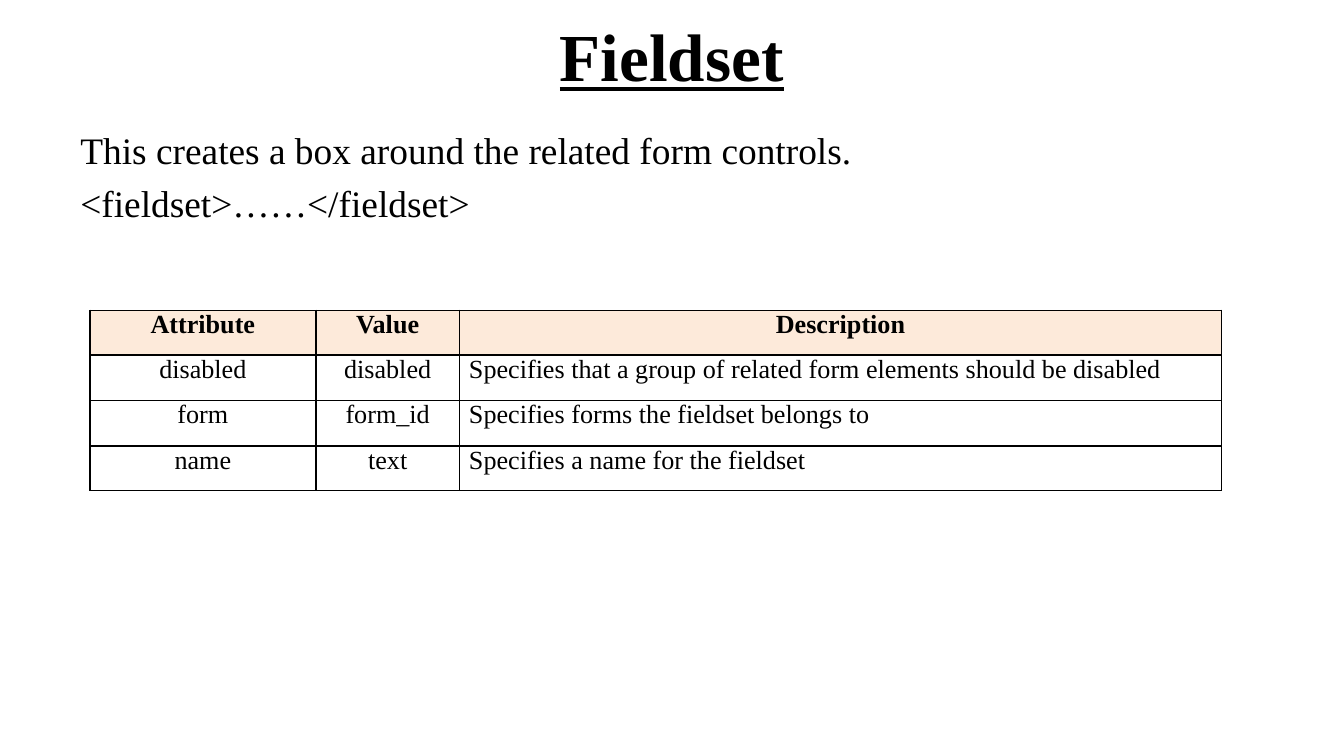
from lxml.etree import SubElement
from pptx import Presentation
from pptx.dml.color import RGBColor
from pptx.enum.text import MSO_ANCHOR, PP_ALIGN
from pptx.oxml.ns import qn
from pptx.util import Inches, Pt

BLACK = RGBColor(0x00, 0x00, 0x00)
PEACH = RGBColor(0xFD, 0xEA, 0xDA)

COLS = [1.68, 1.07, 5.67]
ROWS = [0.33, 0.34, 0.34, 0.33]
DATA = [
    ("Attribute", "Value", "Description"),
    ("disabled", "disabled",
     "Specifies that a group of related form elements should be disabled"),
    ("form", "form_id", "Specifies forms the fieldset belongs to"),
    ("name", "text", "Specifies a name for the fieldset"),
]


class Page:
    face = "Times New Roman"

    def __init__(self, slide):
        self.slide = slide

    def style(self, para, size, bold=False, line=False, align=PP_ALIGN.LEFT):
        para.alignment = align
        font = para.font
        font.name, font.size = self.face, Pt(size)
        font.bold, font.underline = bold, line
        font.color.rgb = BLACK

    def text(self, box, lines, size, gap=0, anchor=MSO_ANCHOR.TOP, **look):
        shape = self.slide.shapes.add_textbox(*map(Inches, box))
        frame = shape.text_frame
        frame.word_wrap = True
        frame.vertical_anchor = anchor
        frame.text = "\n".join(lines)
        for i, para in enumerate(frame.paragraphs):
            self.style(para, size, **look)
            if i:
                para.space_before = Pt(gap)

    def border(self, cell):
        props = cell._tc.get_or_add_tcPr()
        for side in ("a:lnL", "a:lnR", "a:lnT", "a:lnB"):
            edge = SubElement(props, qn(side), w=str(Pt(1)))
            fill = SubElement(edge, qn("a:solidFill"))
            SubElement(fill, qn("a:srgbClr"), val=str(BLACK))

    def table(self, left, top, cols, rows, data, size):
        box = map(Inches, (left, top, sum(cols), sum(rows)))
        table = self.slide.shapes.add_table(len(rows), len(cols), *box).table
        for col, width in zip(table.columns, cols):
            col.width = Inches(width)
        for row, height in zip(table.rows, rows):
            row.height = Inches(height)
        for r, line in enumerate(data):
            for c, word in enumerate(line):
                cell = table.cell(r, c)
                cell.text = word
                cell.margin_left = cell.margin_right = Inches(0.07)
                cell.margin_top = cell.margin_bottom = 0
                # Only descriptions below the header are left-aligned
                left_set = r > 0 and c == len(cols) - 1
                align = PP_ALIGN.LEFT if left_set else PP_ALIGN.CENTER
                self.style(cell.text_frame.paragraphs[0], size,
                           bold=r == 0, align=align)
                self.border(cell)
                if r == 0:
                    cell.fill.solid()
                    cell.fill.fore_color.rgb = PEACH
                else:
                    cell.fill.background()


def main():
    deck = Presentation()
    # Widescreen, 16 to 9
    deck.slide_width, deck.slide_height = Inches(10), Inches(10 * 9 / 16)
    page = Page(deck.slides.add_slide(deck.slide_layouts[6]))

    # Title
    page.text((0.5, -0.02, 9, 0.85), ["Fieldset"], 36, bold=True, line=True,
              anchor=MSO_ANCHOR.MIDDLE, align=PP_ALIGN.CENTER)

    # Purpose and syntax
    page.text((0.5, 0.9, 9, 1.08),
              ["This creates a box around the related form controls.",
               "<fieldset>……</fieldset>"], 20, gap=4)

    # Attributes
    page.table(0.67, 2.31, COLS, ROWS, DATA, 14)

    deck.save("out.pptx")


if __name__ == "__main__":
    main()
